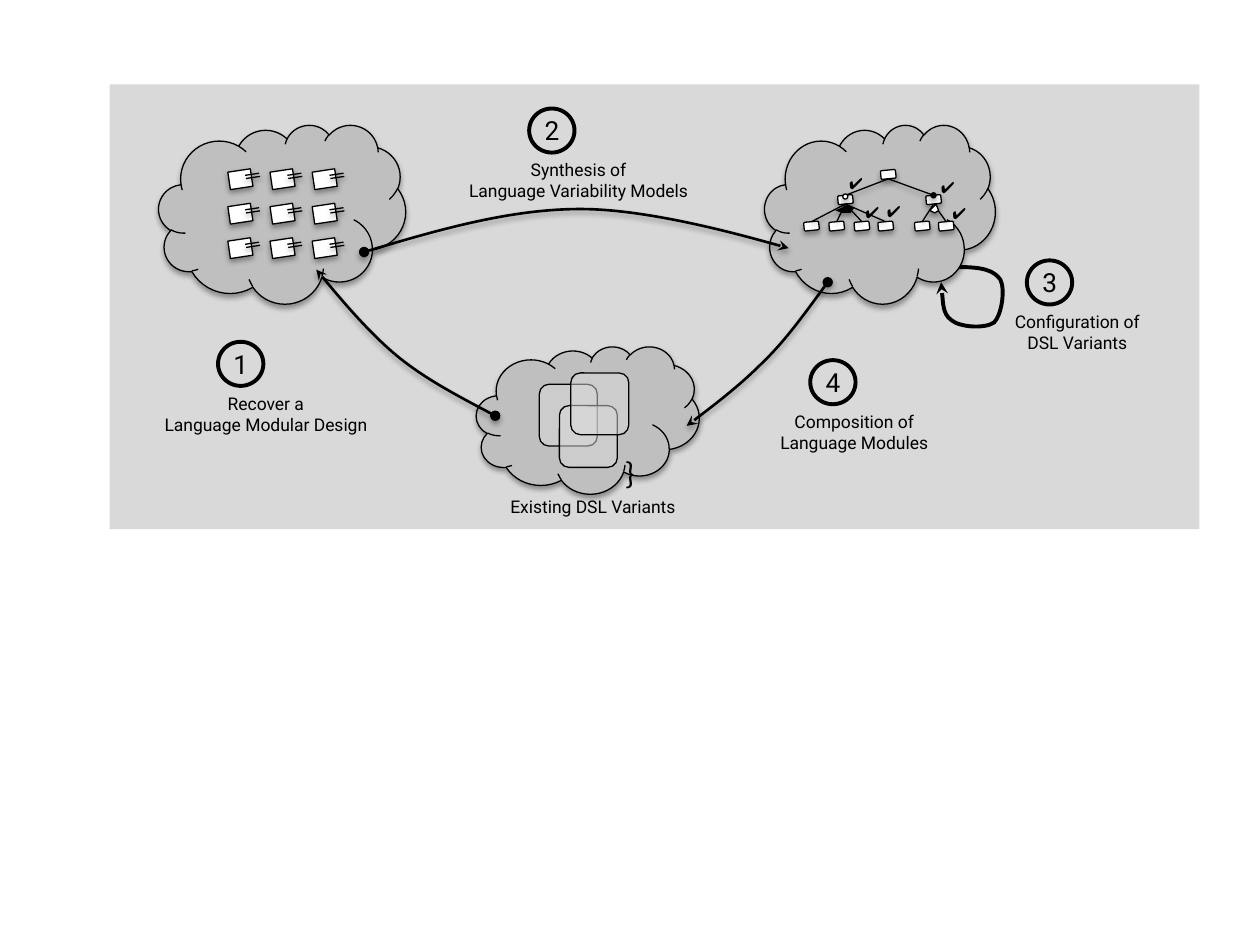
from lxml import etree
from pptx import Presentation
from pptx.dml.color import RGBColor
from pptx.enum.shapes import MSO_CONNECTOR, MSO_SHAPE
from pptx.enum.text import MSO_AUTO_SIZE, PP_ALIGN
from pptx.oxml.ns import qn
from pptx.util import Pt

RECT, ROUNDED = MSO_SHAPE.RECTANGLE, MSO_SHAPE.ROUNDED_RECTANGLE
OVAL, CLOUD = MSO_SHAPE.OVAL, MSO_SHAPE.CLOUD
STRAIGHT = MSO_CONNECTOR.STRAIGHT
CENTER, LEFT = PP_ALIGN.CENTER, PP_ALIGN.LEFT
FIT = MSO_AUTO_SIZE.SHAPE_TO_FIT_TEXT

BLACK = RGBColor(0x00, 0x00, 0x00)
WHITE = RGBColor(0xFF, 0xFF, 0xFF)
PALE = RGBColor(0xD9, 0xD9, 0xD9)
GRAY = RGBColor(0xBF, 0xBF, 0xBF)


def set_effects(s, shadow):
    """Replace the theme's effects by a soft drop shadow, or by none."""
    effects = etree.SubElement(s._element.spPr, qn("a:effectLst"))
    if shadow:
        outer = etree.SubElement(effects, qn("a:outerShdw"), blurRad=str(Pt(3.1)),
                                 dist=str(Pt(1.8)), dir="5400000", rotWithShape="0")
        color = etree.SubElement(outer, qn("a:srgbClr"), val="000000")
        etree.SubElement(color, qn("a:alpha"), val="35000")


def set_look(s, fill, width, shadow):
    if fill is None:
        s.fill.background()
    else:
        s.fill.solid()
        s.fill.fore_color.rgb = fill
    if width:
        s.line.color.rgb = BLACK
        s.line.width = Pt(width)
    else:
        s.line.fill.background()
    set_effects(s, shadow)


def add_box(shapes, kind, box, fill, width=0.75, shadow=True, rotation=0):
    s = shapes.add_shape(kind, *map(Pt, box))
    s.rotation = rotation
    set_look(s, fill, width, shadow)
    return s


def add_line(shapes, *ends):
    s = shapes.add_connector(STRAIGHT, *ends)
    s.line.color.rgb = BLACK
    s.line.width = Pt(0.75)
    set_effects(s, True)
    return s


def add_outline(shapes, points, close=True):
    start, *rest = [(Pt(x), Pt(y)) for x, y in points]
    builder = shapes.build_freeform(*start)
    builder.add_line_segments(rest, close=close)
    return builder.convert_to_shape()


def add_curve(shapes, points, width, shadow=True, head="oval"):
    """Draw a Bezier arrow: a start point, then three points for each segment."""
    s = add_outline(shapes, points, close=False)
    steps = list(s._element.spPr.iter(qn("a:lnTo")))
    for i in range(0, len(steps), 3):
        bezier = etree.Element(qn("a:cubicBezTo"))
        steps[i].addprevious(bezier)
        for step in steps[i:i + 3]:
            bezier.append(step[0])
            step.getparent().remove(step)
    set_look(s, None, width, shadow)
    ln = s.line._get_or_add_ln()
    if head:
        etree.SubElement(ln, qn("a:headEnd"), type=head)
    etree.SubElement(ln, qn("a:tailEnd"), type="stealth")


def add_text(shapes, box, lines, size=10, font="Roboto", align=CENTER, wrap=True):
    tf = shapes.add_textbox(*map(Pt, box)).text_frame
    tf.word_wrap = wrap
    tf.auto_size = FIT
    for i, line in enumerate(lines):
        p = tf.add_paragraph() if i else tf.paragraphs[0]
        p.alignment = align
        r = p.add_run()
        r.text = line
        r.font.size = Pt(size)
        r.font.name = font
        r.font.color.rgb = BLACK


def add_step(shapes, box, badge_x, number, lines):
    """Place a circled number badge_x from the box's left, with its label below."""
    x, y, w, h = box
    add_text(shapes, (x, y + 25.5, w, h - 25.5), lines)
    add_text(shapes, (x + badge_x - 5, y, 36, 25.2), [number], size=15)
    add_box(shapes, OVAL, (x + badge_x, y, 25.9, 25.2), None, 2.25, False)


def add_modules_cloud(shapes, box):
    add_box(shapes, CLOUD, box, GRAY)
    group = shapes.add_group_shape().shapes
    for row in range(3):
        for col in range(3):
            x = box[0] + 40.2 + 24.1 * col
            y = box[1] + 26.1 + 19.7 * row
            add_box(group, RECT, (x, y, 13, 10.1), WHITE, rotation=351.5)
            for dx, dy in ((9.2, 2.8), (9.7, 4.6)):
                add_line(group, Pt(x + dx), Pt(y + dy), Pt(x + dx + 8), Pt(y + dy - 1.2))


def add_features_cloud(shapes, box):
    """Cloud with a feature tree; inner positions are offsets from the box."""
    left, top = box[:2]
    add_box(shapes, CLOUD, box, GRAY)
    group = shapes.add_group_shape().shapes

    def shift(points):
        return [(left + x, top + y) for x, y in points]

    def add_feature(x, y):
        return add_box(group, ROUNDED, (left + x, top + y, 8.6, 5), WHITE, rotation=354.4)

    def add_edge(parent, child):
        s = add_line(group, parent.left + parent.width // 2, parent.top + parent.height,
                     child.left + child.width // 2, child.top)
        s.begin_connect(parent, 2)
        s.end_connect(child, 0)

    for x, y in shift([(93.6, 26.6), (100.1, 41.7), (41.1, 24.5), (50.4, 41), (62.7, 40.3)]):
        add_text(group, (x, y, 22.3, 18), ["✔"], 9, "Arial", LEFT, False)

    root = add_feature(66.3, 25.9)
    for x, leaves in ((41.8, (22.4, 36.8, 51.2, 64.8)), (92.2, (85.7, 99.4))):
        branch = add_feature(x, 40.3)
        add_edge(root, branch)
        for leaf_x in leaves:
            add_edge(branch, add_feature(leaf_x, 55.4))

    or_arc = [(46.8, 46.1), (40.3, 49), (44.6, 50.4), (49, 50.4), (51.1, 47.5)]
    xor_arc = [(97.9, 45.4), (94.3, 49), (97.2, 50.4), (99.4, 49)]
    set_look(add_outline(group, shift(or_arc)), BLACK, 0, True)
    set_look(add_outline(group, shift(xor_arc)), WHITE, 0.75, True)
    for x, y, fill in ((95, 38.9, BLACK), (44.6, 39.6, WHITE)):
        add_box(group, OVAL, (left + x, top + y, 2.9, 2.9), fill)


def add_variants_cloud(shapes, box):
    x, y, w, h = box
    add_box(shapes, CLOUD, box, GRAY)
    for dx, dy in ((36, 21.6), (47.5, 33.8), (54, 15.1)):
        s = add_box(shapes, ROUNDED, (x + dx, y + dy, 33.1, 35.3), PALE, shadow=False)
        color = s._element.spPr.find(qn("a:solidFill"))[0]
        etree.SubElement(color, qn("a:alpha"), val="51000")
    add_text(shapes, (x + 77.7, y + 57.6, 20.9, 28.8), ["}"], 18, "Calibri", LEFT, False)
    add_text(shapes, (x + 4.3, y + 82.1, 124.6, 19.4), ["Existing DSL Variants"])


def main():
    prs = Presentation()
    prs.slide_width, prs.slide_height = Pt(720), Pt(540)
    shapes = prs.slides.add_slide(prs.slide_layouts[6]).shapes

    panel = add_box(shapes, ROUNDED, (62.6, 48.2, 622.8, 254.2), PALE, 0, False)
    panel.adjustments[0] = 0
    add_curve(shapes, [(547.9, 152.6), (562.3, 152.6), (568.1, 154.8), (571.7, 159.8),
                       (574.6, 165.6), (572.4, 180), (568.1, 184.3),
                       (563, 187.9), (548.6, 187.2), (543.6, 182.9),
                       (538.6, 179.3), (537.8, 161.3), (537.8, 161.3)], 2.25, False, None)

    add_modules_cloud(shapes, (90.7, 71.3, 141.1, 102.2))
    add_features_cloud(shapes, (437, 71.3, 131.8, 102.2))
    add_variants_cloud(shapes, (272.2, 198, 127.4, 84.2))

    for points in (
        [(473, 161.3), (460.8, 177.8), (448.6, 195.1), (434.9, 208.1),
         (421.2, 221.8), (392.4, 243.4), (392.4, 243.4)],
        [(208.1, 144), (251.3, 131), (294.5, 118.8), (334.8, 119.5),
         (375.1, 120.2), (450.7, 141.8), (450.7, 141.8)],
        [(283, 237.6), (261.4, 226.1), (240.5, 215.3), (223.9, 200.9),
         (207.4, 186.5), (180.7, 154.1), (180.7, 154.1)],
    ):
        add_curve(shapes, points, 1.5)

    for x, y, w, badge_x, number, lines in (
        (72, 195.3, 159.8, 52.6, "1", ["Recover a", "Language Modular Design"]),
        (250.6, 62, 159.8, 51.8, "2", ["Synthesis of", "Language Variability Models"]),
        (568.8, 148.8, 93.6, 18, "3", ["Configuration of", "DSL Variants"]),
        (408.2, 205.8, 159.8, 54.8, "4", ["Composition of", "Language Modules"]),
    ):
        add_step(shapes, (x, y, w, 57.2), badge_x, number, lines)

    prs.save("out.pptx")


if __name__ == "__main__":
    main()
